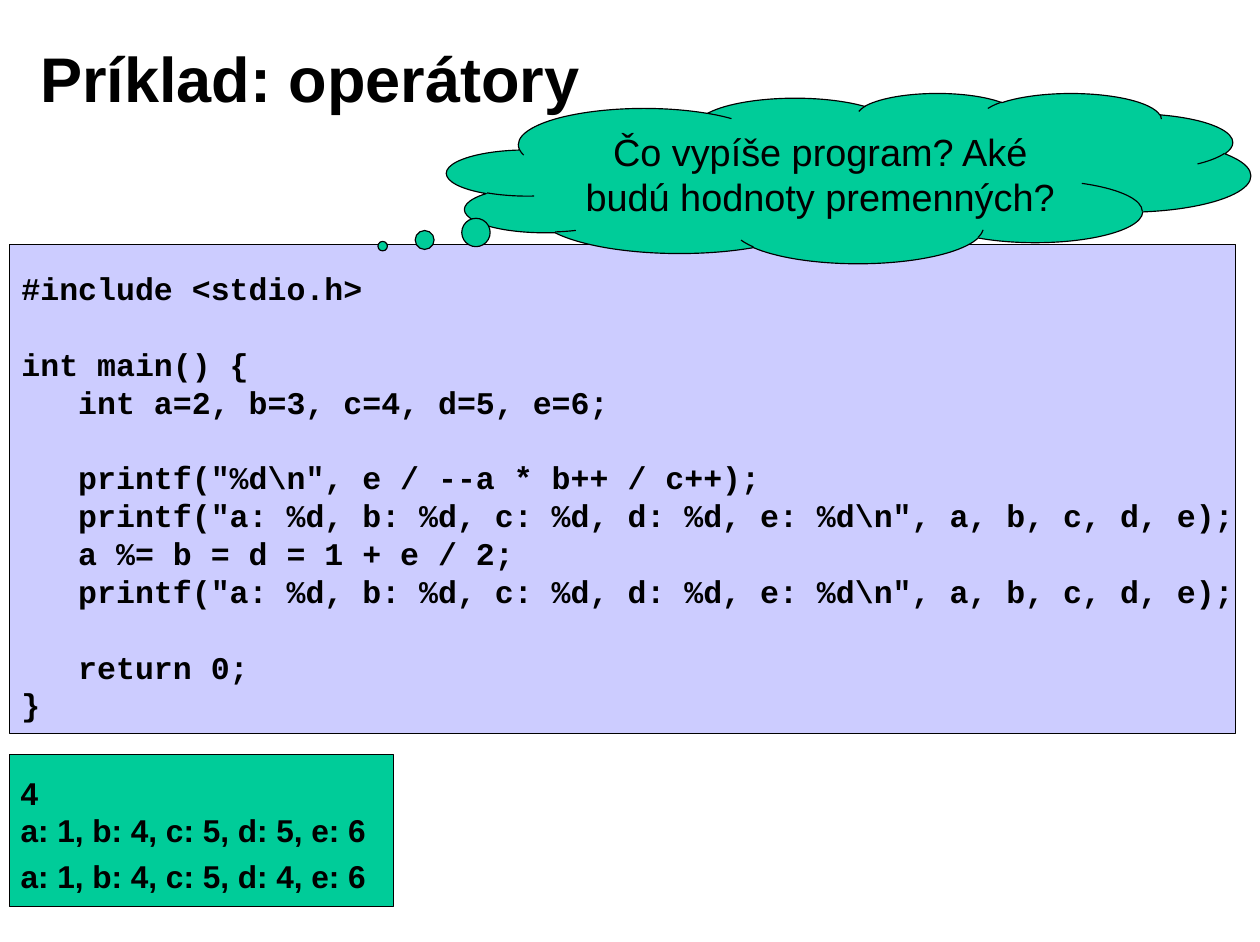
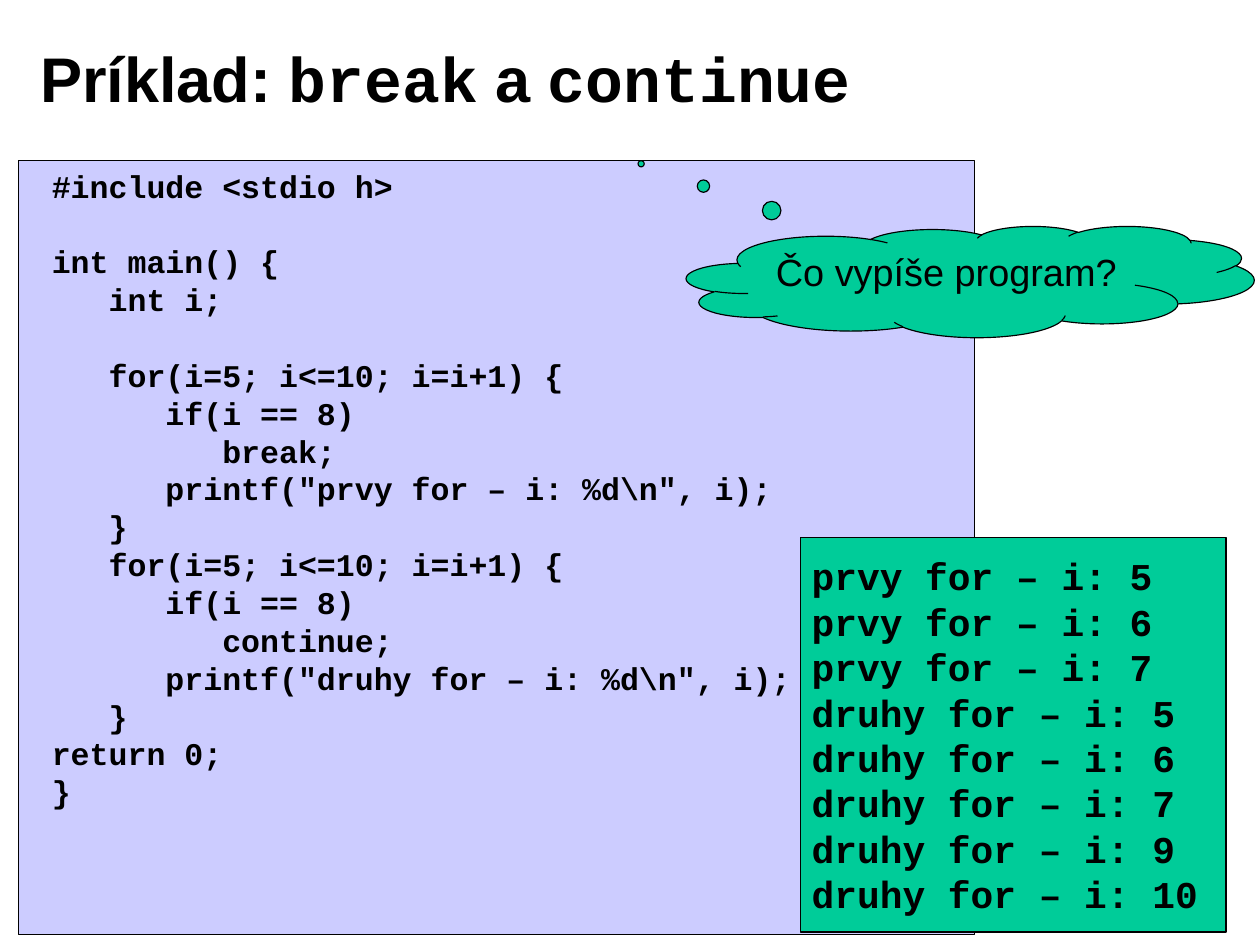
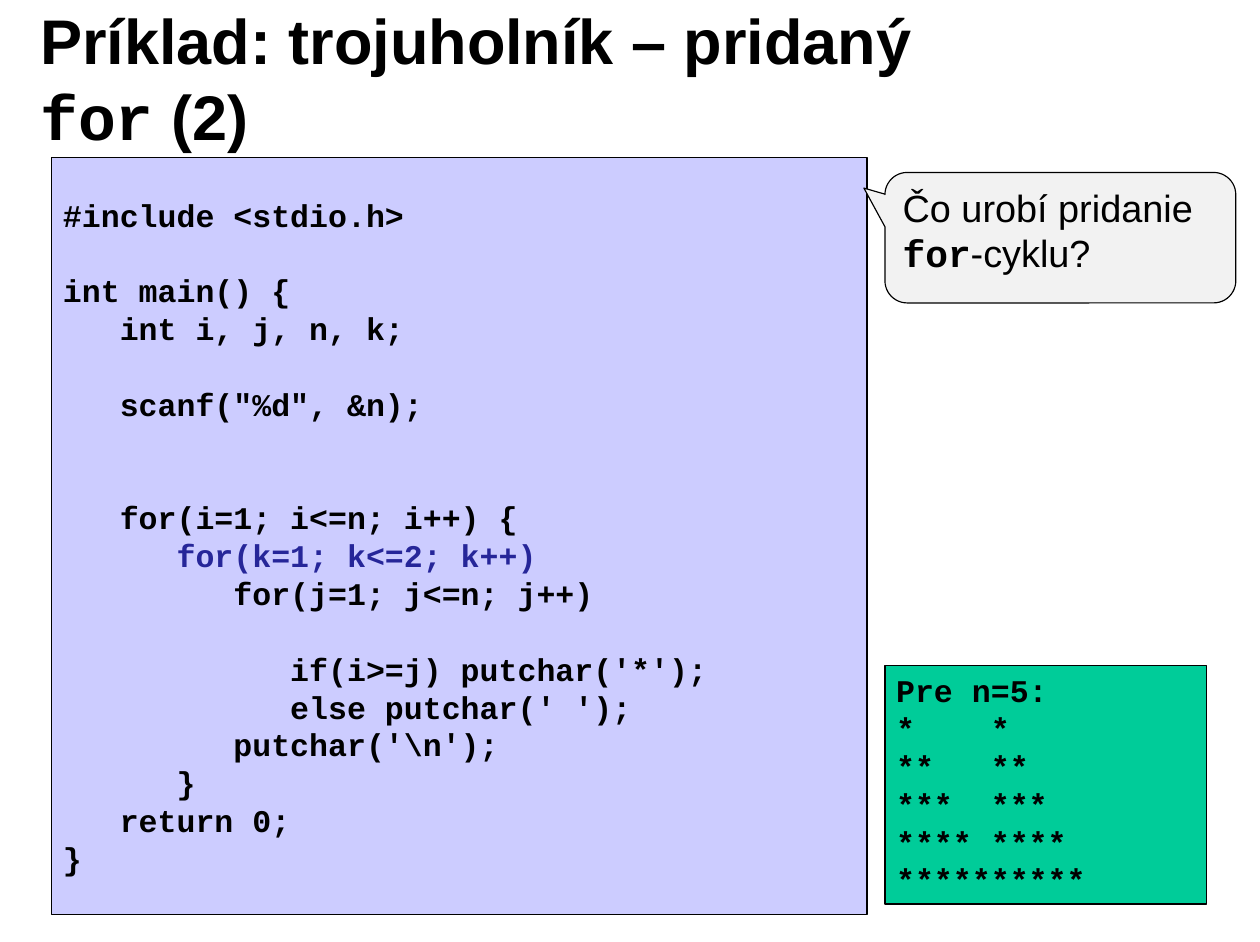
from dataclasses import dataclass

from pptx import Presentation
from pptx import util as u
from pptx.dml.color import RGBColor
from pptx.enum import shapes, text

BLACK = RGBColor(0x00, 0x00, 0x00)
LAVENDER = RGBColor(0xCC, 0xCC, 0xFF)
GREEN = RGBColor(0x00, 0xCC, 0x99)
LIGHT_GRAY = RGBColor(0xF2, 0xF2, 0xF2)
NAVY = RGBColor(0x26, 0x26, 0x99)

SANS = "Arial"
MONO = "Courier New"
LINE_FACTOR = 1.2
TITLE_SIZE = 40

RECTANGLE = shapes.MSO_SHAPE.RECTANGLE
CLOUD = shapes.MSO_SHAPE.CLOUD_CALLOUT
SPEECH = shapes.MSO_SHAPE.ROUNDED_RECTANGULAR_CALLOUT
TOP = text.MSO_ANCHOR.TOP
MIDDLE = text.MSO_ANCHOR.MIDDLE
LEFT = text.PP_ALIGN.LEFT
CENTER = text.PP_ALIGN.CENTER


@dataclass(frozen=True)
class Span:
    text: str
    font: str = SANS
    bold: bool = True
    color: RGBColor = BLACK


@dataclass(frozen=True)
class Line:
    spans: tuple[Span, ...]
    gap: float = 0


@dataclass(frozen=True)
class Panel:
    left: float
    top: float
    width: float
    height: float
    fill: RGBColor
    lines: tuple[Line, ...]
    size: int = 20
    shape: shapes.MSO_SHAPE = RECTANGLE
    adjustments: tuple[float, ...] = ()
    anchor: text.MSO_ANCHOR = TOP
    align: text.PP_ALIGN = LEFT
    insets: tuple[float, float, float, float] = (0.25, 0.13, 0.25, 0.13)
    wrap: bool = True


@dataclass(frozen=True)
class Page:
    title: tuple[Span, ...]
    panels: tuple[Panel, ...]


def code_lines(source: str, highlight: str = "") -> tuple[Line, ...]:
    lines: list[Line] = []
    gap = 0
    for row in source.strip("\n").split("\n"):
        if not row:
            gap += 1
            continue
        color = NAVY if row.strip() == highlight else BLACK
        lines.append(Line((Span(row, MONO, color=color),), gap))
        gap = 0
    return tuple(lines)


def fill_text(frame, lines: tuple[Line, ...], size: int, align: text.PP_ALIGN,
              anchor: text.MSO_ANCHOR,
              insets: tuple[float, float, float, float],
              wrap: bool = True) -> None:
    frame.word_wrap = wrap
    frame.auto_size = text.MSO_AUTO_SIZE.NONE
    frame.vertical_anchor = anchor
    (frame.margin_left, frame.margin_top,
     frame.margin_right, frame.margin_bottom) = map(u.Cm, insets)
    pitch = size * LINE_FACTOR
    for index, line in enumerate(lines):
        para = frame.paragraphs[0] if index == 0 else frame.add_paragraph()
        para.alignment = align
        para.line_spacing = u.Pt(pitch)
        para.space_before = u.Pt(pitch * line.gap)
        for span in line.spans:
            run = para.add_run()
            run.text = span.text
            run.font.name = span.font
            run.font.size = u.Pt(size)
            run.font.bold = span.bold
            run.font.color.rgb = span.color


def add_panel(slide, panel: Panel) -> None:
    box = slide.shapes.add_shape(
        panel.shape, u.Cm(panel.left), u.Cm(panel.top),
        u.Cm(panel.width), u.Cm(panel.height))
    box.shadow.inherit = False
    box.fill.solid()
    box.fill.fore_color.rgb = panel.fill
    box.line.color.rgb = BLACK
    box.line.width = u.Pt(0.75)
    for index, value in enumerate(panel.adjustments):
        box.adjustments[index] = value
    fill_text(box.text_frame, panel.lines, panel.size, panel.align,
              panel.anchor, panel.insets, panel.wrap)


def add_page(deck, layout, page: Page) -> None:
    slide = deck.slides.add_slide(layout)
    fill_text(slide.shapes.title.text_frame, (Line(page.title),), TITLE_SIZE,
              LEFT, MIDDLE, (0.28, 0.15, 0.28, 0.15))
    for panel in page.panels:
        add_panel(slide, panel)


OPERATORS_CODE = r'''
#include <stdio.h>

int main() {
   int a=2, b=3, c=4, d=5, e=6;

   printf("%d\n", e / --a * b++ / c++);
   printf("a: %d, b: %d, c: %d, d: %d, e: %d\n", a, b, c, d, e);
   a %= b = d = 1 + e / 2;
   printf("a: %d, b: %d, c: %d, d: %d, e: %d\n", a, b, c, d, e);

   return 0;
}
'''

LOOPS_CODE = r'''
#include <stdio h>

int main() {
   int i;

   for(i=5; i<=10; i=i+1) {
      if(i == 8)
         break;
      printf("prvy for – i: %d\n", i);
   }
   for(i=5; i<=10; i=i+1) {
      if(i == 8)
         continue;
      printf("druhy for – i: %d\n", i);
   }
return 0;
}
'''

LOOPS_OUTPUT = '''
prvy for – i: 5
prvy for – i: 6
prvy for – i: 7
druhy for – i: 5
druhy for – i: 6
druhy for – i: 7
druhy for – i: 9
druhy for – i: 10
'''

TRIANGLE_CODE = r'''
#include <stdio.h>

int main() {
   int i, j, n, k;

   scanf("%d", &n);


   for(i=1; i<=n; i++) {
      for(k=1; k<=2; k++)
         for(j=1; j<=n; j++)

            if(i>=j) putchar('*');
            else putchar(' ');
         putchar('\n');
      }
   return 0;
}
'''

TRIANGLE_OUTPUT = '''
Pre n=5:
*    *
**   **
***  ***
**** ****
**********
'''

PAGES = (
    Page(
        (Span("Príklad: operátory"),),
        (
            Panel(0.21, 5.47, 27.43, 10.94, LAVENDER,
                  code_lines(OPERATORS_CODE),
                  insets=(0.27, 0.55, 0, 0.13), wrap=False),
            Panel(10, 2.08, 17.98, 3.81, GREEN,
                  (Line((Span("Čo vypíše program? Aké budú hodnoty premenných?",
                              bold=False),)),),
                  size=24, shape=CLOUD, adjustments=(-0.58, 0.4),
                  anchor=MIDDLE, align=CENTER),
            Panel(0.21, 16.89, 8.59, 3.4, GREEN,
                  (Line((Span("4"),)),
                   Line((Span("a: 1, b: 4, c: 5, d: 5, e: 6"),)),
                   Line((Span("a: 1, b: 4, c: 5, d: 4, e: 6"),), gap=0.2)),
                  anchor=MIDDLE, insets=(0.25, 0.28, 0.25, 0.13)),
        ),
    ),
    Page(
        (Span("Príklad: "), Span("break", MONO), Span(" a "),
         Span("continue", MONO)),
        (
            Panel(0.42, 3.6, 21.39, 17.32, LAVENDER, code_lines(LOOPS_CODE),
                  insets=(0.74, 0.13, 0.25, 0.13)),
            Panel(15.36, 5.06, 12.7, 2.49, GREEN,
                  (Line((Span("Čo vypíše program?", bold=False),)),),
                  size=24, shape=CLOUD, adjustments=(-0.58, -1.06)),
            Panel(17.91, 12.02, 9.52, 8.84, GREEN, code_lines(LOOPS_OUTPUT),
                  size=24, anchor=MIDDLE),
        ),
    ),
    Page(
        (Span("Príklad: trojuholník – pridaný "), Span("for", MONO),
         Span(" (2)")),
        (
            Panel(19.8, 14.89, 7.19, 5.34, GREEN, code_lines(TRIANGLE_OUTPUT)),
            Panel(1.16, 3.53, 18.24, 16.94, LAVENDER,
                  code_lines(TRIANGLE_CODE, highlight="for(k=1; k<=2; k++)"),
                  anchor=MIDDLE),
            Panel(19.8, 3.86, 7.85, 2.92, LIGHT_GRAY,
                  (Line((Span("Čo urobí pridanie ", bold=False),
                         Span("for", MONO), Span("-cyklu?", bold=False))),),
                  size=24, shape=SPEECH, adjustments=(-0.56, -0.38, 0.17)),
        ),
    ),
)


def main() -> None:
    deck = Presentation()
    deck.slide_width = u.Cm(28.19)
    deck.slide_height = u.Cm(21.08)
    layout = deck.slide_layouts.get_by_name("Title Only")
    title = layout.placeholders[0]
    title.left, title.top = u.Cm(0.62), u.Cm(0.43)
    title.width, title.height = u.Cm(22.66), u.Cm(2.59)
    for page in PAGES:
        add_page(deck, layout, page)
    deck.save("out.pptx")


if __name__ == "__main__":
    main()
